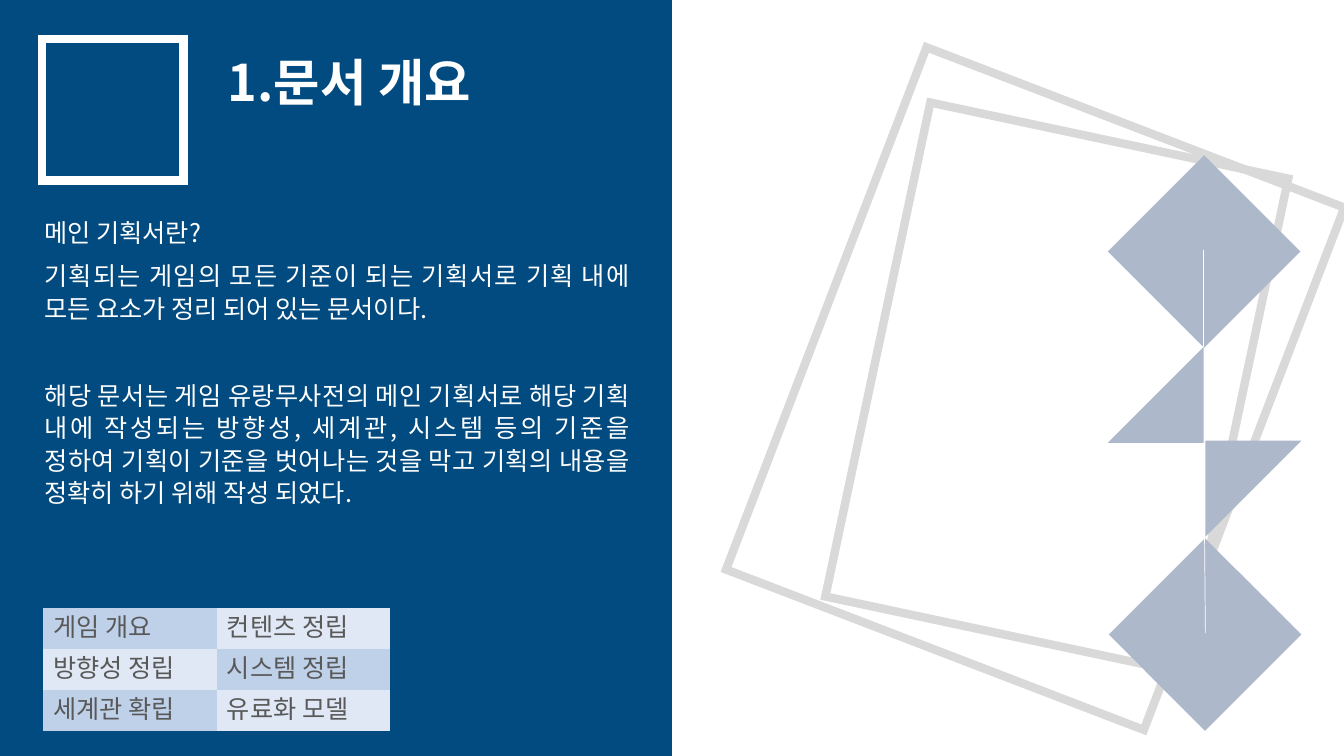
from lxml.etree import SubElement
from pptx import Presentation
from pptx.dml.color import RGBColor
from pptx.enum.shapes import MSO_CONNECTOR, MSO_SHAPE as SHAPE
from pptx.enum.text import MSO_ANCHOR as ANCHOR, MSO_AUTO_SIZE as AUTO, PP_ALIGN as ALIGN
from pptx.oxml.ns import qn
from pptx.util import Pt

FONT = "Noto Sans CJK KR"
NO_TABLE_STYLE = "{2D5ABB26-0587-4C30-8999-92F81FD0307C}"
NAVY = RGBColor(0x02, 0x4B, 0x80)
WHITE = RGBColor(0xFF, 0xFF, 0xFF)
FRAME_GRAY = RGBColor(0xD9, 0xD9, 0xD9)
ORNAMENT = RGBColor(0xAD, 0xB9, 0xCA)
TEXT_GRAY = RGBColor(0x59, 0x59, 0x59)
CELL_DARK = RGBColor(0xBF, 0xD0, 0xE9)
CELL_LIGHT = RGBColor(0xDF, 0xE8, 0xF4)

BODY = (
    ("메인 기획서란?", 0),
    ("기획되는 게임의 모든 기준이 되는 기획서로 기획 내에 모든 요소가 정리 되어 있는 문서이다.", 0),
    ("해당 문서는 게임 유랑무사전의 메인 기획서로 해당 기획 내에 작성되는 방향성, 세계관, "
     "시스템 등의 기준을 정하여 기획이 기준을 벗어나는 것을 막고 기획의 내용을 정확히 하기 위해 "
     "작성 되었다.", 31),
)
TOPICS = (
    ("게임 개요", "컨텐츠 정립"),
    ("방향성 정립", "시스템 정립"),
    ("세계관 확립", "유료화 모델"),
)


def write(p, text, size=18, color=WHITE, bold=False, align=ALIGN.LEFT,
          line=23.2, before=0, after=0):
    p.alignment = align
    p.line_spacing = Pt(line)
    p.space_before, p.space_after = Pt(before), Pt(after)
    pPr = p._p.get_or_add_pPr()
    pPr.set("marL", "0")
    pPr.set("indent", "0")
    SubElement(pPr, qn("a:buNone"))
    r = p.add_run()
    r.text = text
    r.font.name, r.font.size, r.font.bold = FONT, Pt(size), bold
    r.font.color.rgb = color
    SubElement(r._r.get_or_add_rPr(), qn("a:ea")).set("typeface", FONT)


def place_text(slide, sp, left, top, width, height):
    sp.left, sp.top, sp.width, sp.height = Pt(left), Pt(top), Pt(width), Pt(height)
    slide.shapes.element.append(sp.element)
    tf = sp.text_frame
    tf.word_wrap = True
    tf.auto_size = AUTO.NONE
    tf.vertical_anchor = ANCHOR.TOP
    return tf


def add_solid(slide, kind, left, top, width, height, color, rotation=0):
    sp = slide.shapes.add_shape(kind, Pt(left), Pt(top), Pt(width), Pt(height))
    sp.shadow.inherit = False
    sp.fill.solid()
    sp.fill.fore_color.rgb = color
    sp.line.fill.background()
    sp.rotation = rotation


def add_frame(slide, left, top, width, height, color, rotation=0):
    sp = slide.shapes.add_shape(SHAPE.RECTANGLE, Pt(left), Pt(top), Pt(width), Pt(height))
    sp.shadow.inherit = False
    sp.fill.background()
    sp.line.color.rgb = color
    sp.line.width = Pt(6)
    SubElement(sp.line._get_or_add_ln(), qn("a:miter")).set("lim", "800000")
    sp.rotation = rotation


def add_line(slide, x1, y1, x2, y2):
    line = slide.shapes.add_connector(MSO_CONNECTOR.STRAIGHT, Pt(x1), Pt(y1), Pt(x2), Pt(y2))
    line.line.color.rgb = WHITE
    line.line.width = Pt(0.5)
    SubElement(line.element.spPr, qn("a:effectLst"))


def add_ornament(slide):
    diamond, triangle = 137.5, 68.5
    add_solid(slide, SHAPE.DIAMOND, 791.3, 110.9, diamond, diamond, ORNAMENT)
    add_solid(slide, SHAPE.RIGHT_TRIANGLE, 791.3, 247.8, triangle, triangle, ORNAMENT, 270)
    add_solid(slide, SHAPE.RIGHT_TRIANGLE, 861, 314.8, triangle, triangle, ORNAMENT, 90)
    add_solid(slide, SHAPE.DIAMOND, 792, 384.5, diamond, diamond, ORNAMENT)
    add_line(slide, 859.7, 178.7, 859.7, 247.7)
    add_line(slide, 860.4, 383.2, 861, 452.2)


def add_topics(slide, left, top, width, row_height):
    frame = slide.shapes.add_table(len(TOPICS), len(TOPICS[0]), Pt(left), Pt(top),
                                   Pt(width), Pt(row_height * len(TOPICS)))
    table = frame.table
    table.first_row = table.horz_banding = False
    table._tbl.tblPr.find(qn("a:tableStyleId")).text = NO_TABLE_STYLE
    for i, row in enumerate(TOPICS):
        for j, text in enumerate(row):
            cell = table.cell(i, j)
            cell.fill.solid()
            cell.fill.fore_color.rgb = CELL_LIGHT if (i + j) % 2 else CELL_DARK
            write(cell.text_frame.paragraphs[0], text, color=TEXT_GRAY, line=21.8)


def main():
    """Build the document overview slide."""
    prs = Presentation()
    prs.slide_width, prs.slide_height = Pt(960), Pt(540)
    slide = prs.slides.add_slide(prs.slide_layouts[1])
    title, body = slide.placeholders

    add_frame(slide, 624.2, 96.5, 261.4, 360.7, FRAME_GRAY, 12)
    add_frame(slide, 579.6, 77.8, 319.7, 399.6, FRAME_GRAY, 21)
    add_solid(slide, SHAPE.RECTANGLE, 0, 0, 480, 540, NAVY)
    add_frame(slide, 30.2, 28.1, 100.8, 100.8, WHITE)

    tf = place_text(slide, title, 155.5, 30.2, 250, 51)
    write(tf.paragraphs[0], "1.문서 개요", size=36, bold=True, line=46)

    add_ornament(slide)

    tf = place_text(slide, body, 24.5, 149.8, 432.7, 217.4)
    for i, (text, before) in enumerate(BODY):
        p = tf.add_paragraph() if i else tf.paragraphs[0]
        write(p, text, align=ALIGN.JUSTIFY, before=before, after=8)

    add_topics(slide, 31, 434.6, 247.7, 29.3)
    prs.save("out.pptx")


if __name__ == "__main__":
    main()
